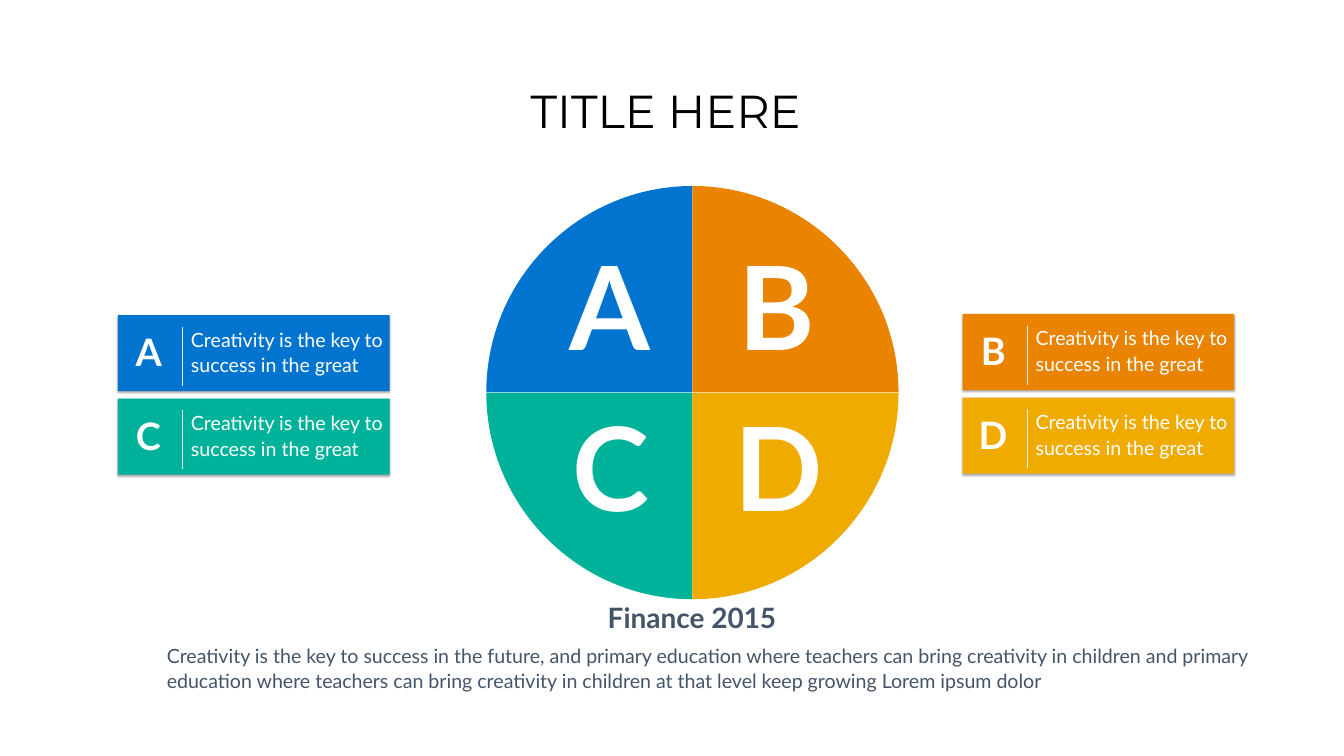
import pptx
import pptx.dml.color
import pptx.enum.shapes
import pptx.enum.text
import pptx.oxml
import pptx.oxml.ns
import pptx.util
from pptx.util import Inches

TITLE = "TITLE HERE "
HEADING = "Finance 2015"
SUMMARY = (
    "Creativity is the key to success in the future, and primary education where "
    "teachers can bring creativity in children and primary education where teachers "
    "can bring creativity in children at that level keep growing Lorem ipsum dolor"
)
CARD_TEXT = "Creativity is the key to success in the great"
# letter, colour, column, row, badge offset, badge width
QUARTERS = [
    ("A", "0074CF", 0, 0, 0.15, 0.91),
    ("B", "E98300", 1, 0, 0.16, 0.9),
    ("C", "00B299", 0, 1, 0.15, 0.91),
    ("D", "F0AB00", 1, 1, 0.12, 0.97),
]

THEME = {
    "font": "Lato", "title_font": "Montserrat",
    "black": "000000", "slate": "445469", "white": "FFFFFF", "divider": "F1F0F0",
    "title": 66, "heading": 40, "body": 28, "badge": 54, "letter": 166,
}

CENTER_X, CENTER_Y = 13.74, (7.78, 7.79)
RADIUS_X, RADIUS_Y = 4.09, (4.09, 4.1)
ARC_PULL = 0.55  # control point distance that bends a cubic curve into a quarter circle
LETTER_X, LETTER_Y, LETTER_SHIFT = (11.05, 14.36), (4.54, 7.75), 0.02
CARD_X, CARD_Y, CARD_PITCH = (2.34, 19.1), (6.25, 6.23), 1.66
CARD_W, CARD_H = 5.39, 1.51

ALIGN = pptx.enum.text.PP_ALIGN
DRAWING_NS = pptx.oxml.ns.nsdecls("a")


def rgb(value):
    return pptx.dml.color.RGBColor.from_string(value)


def write(frame, text, size, color, font=THEME["font"], bold=False, align=None, spacing=None):
    para = frame.paragraphs[0]
    para.alignment = align
    para.line_spacing = spacing
    span = para.add_run()
    span.text = text
    span.font.name = font
    span.font.size = pptx.util.Pt(THEME[size])
    span.font.bold = bold
    span.font.color.rgb = rgb(THEME[color])


def add_text(page, area, text, size, color, wrap=True, inset=0.2, **style):
    box = page.shapes.add_textbox(*map(Inches, area))
    frame = box.text_frame
    frame.word_wrap = wrap
    frame.auto_size = pptx.enum.text.MSO_AUTO_SIZE.SHAPE_TO_FIT_TEXT
    frame.margin_left = frame.margin_right = Inches(inset)
    frame.margin_top = frame.margin_bottom = Inches(inset / 2)
    write(frame, text, size, color, **style)


def bend_last_side(shape):
    """Turn the side between the two outer corners into a quarter arc."""
    sides = list(shape._element.iter(pptx.oxml.ns.qn("a:lnTo")))
    (x1, y1), (x2, y2) = [(int(side[0].get("x")), int(side[0].get("y"))) for side in sides[:2]]
    points = [
        (x1, round(y1 + ARC_PULL * (y2 - y1))),
        (round(x2 + ARC_PULL * (x1 - x2)), y2),
        (x2, y2),
    ]
    corners = "".join(f'<a:pt x="{x}" y="{y}"/>' for x, y in points)
    curve = pptx.oxml.parse_xml(f"<a:cubicBezTo {DRAWING_NS}>{corners}</a:cubicBezTo>")
    sides[1].getparent().replace(sides[1], curve)


def add_quarter(page, color, column, row):
    """Draw one quarter of the disc, from its centre out to the arc."""
    center_y = CENTER_Y[row]
    side_x = CENTER_X + (-1, 1)[column] * RADIUS_X
    side_y = center_y + (-1, 1)[row] * RADIUS_Y[row]
    builder = page.shapes.build_freeform(Inches(CENTER_X), Inches(center_y))
    builder.add_line_segments([
        (Inches(side_x), Inches(center_y)),
        (Inches(CENTER_X), Inches(side_y)),
    ], close=True)
    wedge = builder.convert_to_shape()
    bend_last_side(wedge)
    wedge.shadow.inherit = False
    wedge.fill.solid()
    wedge.fill.fore_color.rgb = rgb(color)
    wedge.line.fill.background()


def add_soft_shadow(shape):
    shape.shadow.inherit = False
    effects = shape._element.spPr.find(pptx.oxml.ns.qn("a:effectLst"))
    effects.append(pptx.oxml.parse_xml(
        f'<a:outerShdw {DRAWING_NS} blurRad="{pptx.util.Pt(3.1)}" '
        f'dist="{pptx.util.Pt(1.8)}" dir="5400000" rotWithShape="0">'
        '<a:srgbClr val="000000"><a:alpha val="35000"/></a:srgbClr></a:outerShdw>'
    ))


def add_card(page, letter, color, column, row, badge_offset, badge_width):
    left = CARD_X[column]
    top = CARD_Y[column] + row * CARD_PITCH
    panel = page.shapes.add_shape(
        pptx.enum.shapes.MSO_SHAPE.RECTANGLE, *map(Inches, (left, top, CARD_W, CARD_H)))
    panel.fill.solid()
    panel.fill.fore_color.rgb = rgb(color)
    panel.line.fill.background()
    add_soft_shadow(panel)

    divider = page.shapes.add_connector(
        pptx.enum.shapes.MSO_CONNECTOR.STRAIGHT,
        *map(Inches, (left + 1.28, top + 0.23, left + 1.28, top + 1.4)))
    divider.line.color.rgb = rgb(THEME["divider"])
    divider.line.width = pptx.util.Pt(0.14)
    divider._element.spPr.append(pptx.oxml.parse_xml(f"<a:effectLst {DRAWING_NS}/>"))

    add_text(page, (left + badge_offset, top + 0.17, badge_width, 1.11), letter, "badge",
             "white", wrap=False, bold=True, align=ALIGN.CENTER)
    add_text(page, (left + 1.21, top + 0.08, 4.52, 1.27), CARD_TEXT, "body", "white",
             inset=0.24, spacing=1.1)


def main():
    deck = pptx.Presentation()
    deck.slide_width, deck.slide_height = Inches(26.67), Inches(15)
    page = deck.slides.add_slide(deck.slide_layouts[5])

    title = page.shapes.title
    title.left, title.top, title.width, title.height = map(Inches, (1.83, 0.8, 23, 2.9))
    title.text_frame.vertical_anchor = pptx.enum.text.MSO_ANCHOR.MIDDLE
    write(title.text_frame, TITLE, "title", "black", font=THEME["title_font"],
          align=ALIGN.CENTER, spacing=0.9)

    add_text(page, (11.86, 11.81, 3.78, 0.88), HEADING, "heading", "slate",
             wrap=False, bold=True)
    add_text(page, (3.11, 12.62, 22.07, 1.23), SUMMARY, "body", "slate", spacing=1.1)

    for _, color, column, row, *_ in QUARTERS:
        add_quarter(page, color, column, row)
    for letter, _, column, row, *_ in reversed(QUARTERS):
        left = LETTER_X[column] + row * LETTER_SHIFT
        add_text(page, (left, LETTER_Y[row], 2.11, 3), letter, "letter", "white",
                 bold=True, align=ALIGN.CENTER)
    for quarter in reversed(QUARTERS):
        add_card(page, *quarter)

    deck.save("out.pptx")


if __name__ == "__main__":
    main()
